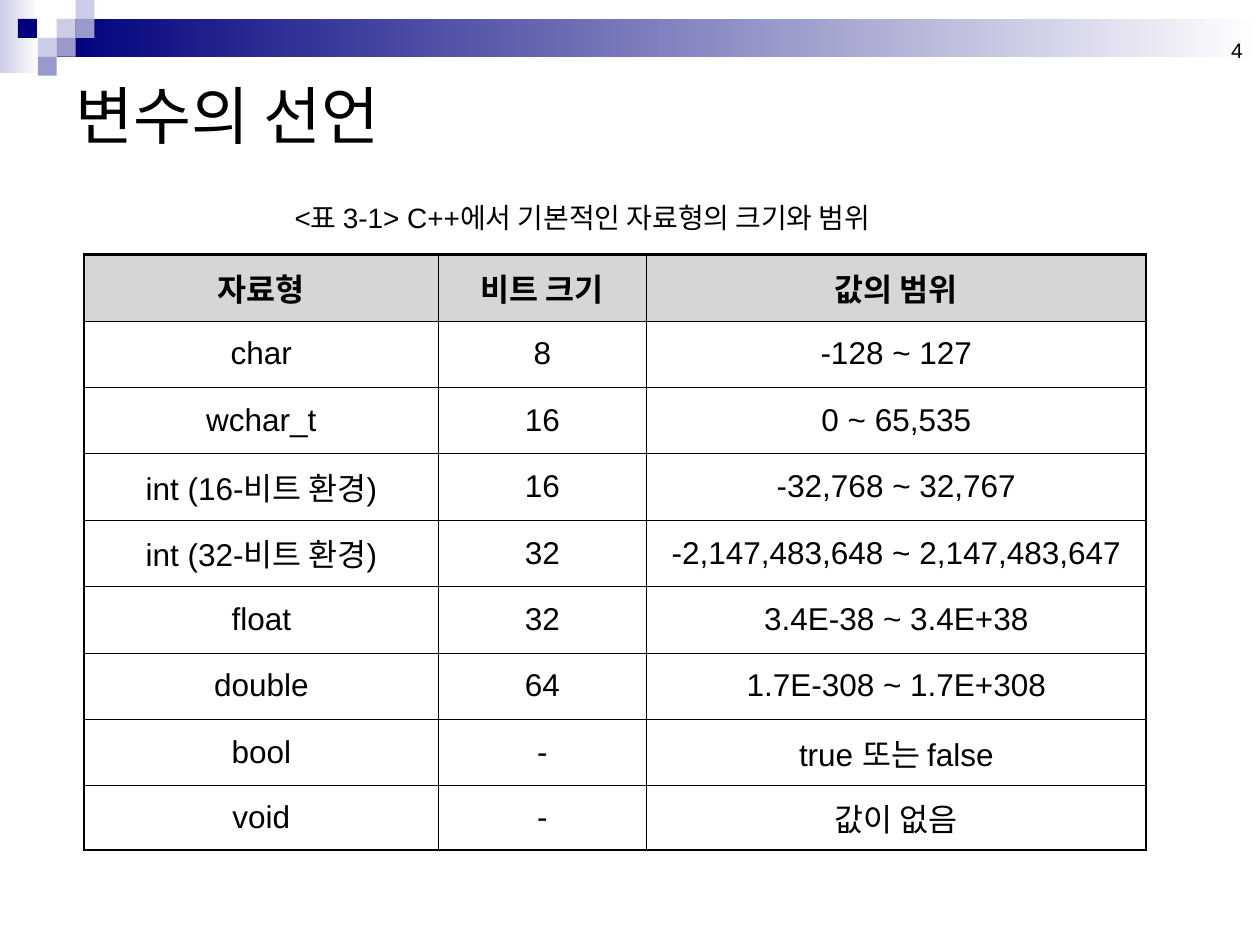
from lxml import etree
from pptx import Presentation
from pptx.dml.color import RGBColor
from pptx.enum import shapes, text
from pptx.oxml import ns
from pptx.util import Pt

COLOURS = {
    "navy": "00007D",
    "violet": "9999CC",
    "lilac": "CCCCE6",
    "white": "FFFFFF",
    "black": "000000",
    "header": "D6D6D6",
}
LATIN, KOREAN = "Arial", "Noto Sans CJK KR"
THIN, THICK = 0.06, 1.47

ROWS = [
    ("자료형", "비트 크기", "값의 범위"),
    ("char", "8", "-128 ~ 127"),
    ("wchar_t", "16", "0 ~ 65,535"),
    ("int (16-비트 환경)", "16", "-32,768 ~ 32,767"),
    ("int (32-비트 환경)", "32", "-2,147,483,648 ~ 2,147,483,647"),
    ("float", "32", "3.4E-38 ~ 3.4E+38"),
    ("double", "64", "1.7E-308 ~ 1.7E+308"),
    ("bool", "-", "true 또는 false"),
    ("void", "-", "값이 없음"),
]


def colour(name):
    return RGBColor.from_string(COLOURS[name])


def add_rectangle(page, box, *fills):
    """One colour gives a solid fill, two a gradient from left to right."""
    shape = page.shapes.add_shape(shapes.MSO_SHAPE.RECTANGLE, *map(Pt, box))
    shape.shadow.inherit = False
    shape.line.fill.background()
    if len(fills) == 1:
        shape.fill.solid()
        shape.fill.fore_color.rgb = colour(fills[0])
    else:
        shape.fill.gradient()
        shape.fill.gradient_angle = 0
        for stop, name in zip(shape.fill.gradient_stops, fills):
            stop.color.rgb = colour(name)


def write(para, words, latin=LATIN, align=text.PP_ALIGN.LEFT, **font):
    para.alignment = align
    span = para.add_run()
    span.text = words
    for key, value in {"name": latin, **font}.items():
        setattr(span.font, key, value)
    span.font.color.rgb = colour("black")
    east_asian = etree.SubElement(span.font._element, ns.qn("a:ea"))
    east_asian.set("typeface", KOREAN)


def add_text(page, box, words, anchor=text.MSO_ANCHOR.TOP, before=0, **style):
    frame = page.shapes.add_textbox(*map(Pt, box)).text_frame
    frame.word_wrap = True
    frame.vertical_anchor = anchor
    para = frame.paragraphs[0]
    para.space_before = Pt(before)
    write(para, words, **style)


def add_banner(page, left, top, width):
    """Gradient strip with a mosaic of squares at its left end."""
    side = 10.8
    add_rectangle(page, (left, top, 22.3, 41.8), "lilac", "white")
    add_rectangle(page, (left + 3 * side, top + side, width - 3 * side, 2 * side),
                  "navy", "white")
    mosaic = [(3, 1, "lilac"), (4, 0, "lilac"), (4, 1, "violet"), (2, 2, "lilac"),
              (0.95, 1, "navy"), (3, 2, "violet"), (2, 3, "violet")]
    for column, row, name in mosaic:
        add_rectangle(page, (left + column * side, top + row * side, side, side), name)


def set_borders(cell, widths):
    properties = cell._tc.get_or_add_tcPr()
    for tag, width in widths.items():
        line = etree.SubElement(properties, ns.qn(f"a:{tag}"), w=str(Pt(width)))
        fill = etree.SubElement(line, ns.qn("a:solidFill"))
        etree.SubElement(fill, ns.qn("a:srgbClr"), val=COLOURS["black"])


def add_type_table(page, left, top, columns, row_height, last_height):
    heights = [row_height] * (len(ROWS) - 1) + [last_height]
    box = (left, top, sum(columns), sum(heights))
    table = page.shapes.add_table(len(ROWS), len(columns), *map(Pt, box)).table
    table.horz_banding = False
    for column, width in zip(table.columns, columns):
        column.width = Pt(width)
    last_row, last_column = len(ROWS) - 1, len(columns) - 1
    for i, values in enumerate(ROWS):
        table.rows[i].height = Pt(heights[i])
        for j, words in enumerate(values):
            cell = table.cell(i, j)
            cell.vertical_anchor = text.MSO_ANCHOR.MIDDLE
            edges = {"lnL": j == 0, "lnR": j == last_column,
                     "lnT": i == 0, "lnB": i == last_row}
            set_borders(cell, {tag: THICK if outer else THIN
                               for tag, outer in edges.items()})
            if i == 0:
                cell.fill.solid()
                cell.fill.fore_color.rgb = colour("header")
            else:
                cell.fill.background()
            write(cell.text_frame.paragraphs[0], words, size=Pt(18), bold=i == 0,
                  align=text.PP_ALIGN.CENTER)


def build_page(page, width):
    add_banner(page, 0, 0, width)
    add_text(page, (549.4, 3.6, 167.8, 36), "4", size=Pt(12),
             anchor=text.MSO_ANCHOR.BOTTOM, align=text.PP_ALIGN.RIGHT)
    add_text(page, (36, 36, 648, 58.3), "변수의 선언", size=Pt(36),
             latin=KOREAN, anchor=text.MSO_ANCHOR.MIDDLE)
    add_text(page, (161.3, 110.9, 386.6, 28.1),
             "<표 3-1> C++에서 기본적인 자료형의 크기와 범위", size=Pt(16), before=4)
    add_type_table(page, 48.2, 145.4, (202.3, 118.8, 285.8), 37.93, 37.1)


def main():
    deck = Presentation()
    deck.slide_width, deck.slide_height = Pt(720), Pt(540)
    page = deck.slides.add_slide(deck.slide_layouts[6])
    build_page(page, 720)
    deck.save("out.pptx")


if __name__ == "__main__":
    main()
